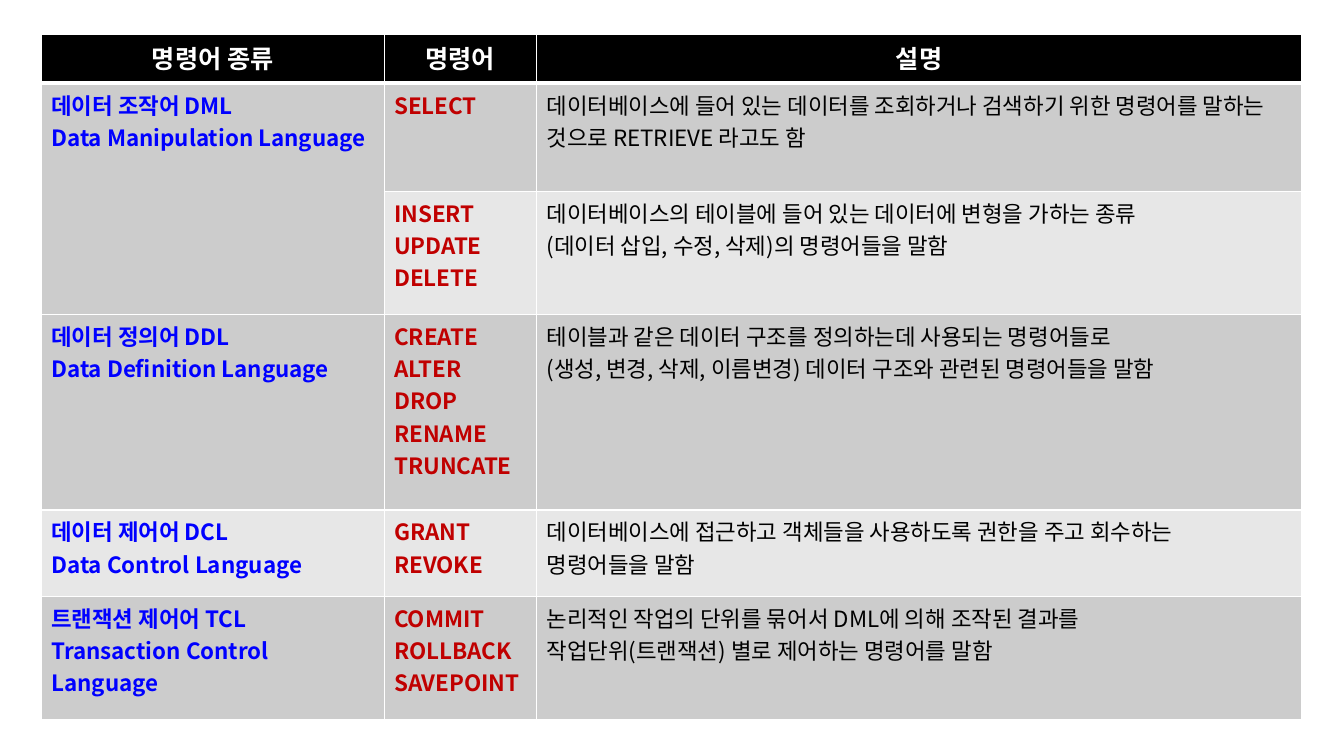
import pptx
import pptx.util
import pptx.dml.color
import pptx.enum.text
import lxml.etree
from pptx.oxml.ns import qn

Cm, Pt = pptx.util.Cm, pptx.util.Pt
RGB = pptx.dml.color.RGBColor.from_string
ALIGN = pptx.enum.text.PP_ALIGN
FONT = "Noto Sans CJK KR"
COLORS = {"header": "000000", "dark": "CCCCCC", "light": "E7E7E7", "white": "FFFFFF",
          "kind": "0000FF", "command": "C00000", "text": "000000"}

# Table content: band, then kind, commands and description (one string per paragraph)
col_widths = [8.64, 3.84, 19.28]
row_heights = [1.24, 2.72, 3.1, 4.93, 2.18, 3.1]
rows = [
    ("header", ["명령어 종류"], ["명령어"], ["설명"]),
    ("dark", ["데이터 조작어 DML", "Data Manipulation Language"],
     ["SELECT"],
     ["데이터베이스에 들어 있는 데이터를 조회하거나 검색하기 위한 명령어를 말하는 것으로 RETRIEVE 라고도 함"]),
    ("light", [],
     ["INSERT", "UPDATE", "DELETE"],
     ["데이터베이스의 테이블에 들어 있는 데이터에 변형을 가하는 종류",
      "(데이터 삽입, 수정, 삭제)의 명령어들을 말함"]),
    ("dark", ["데이터 정의어 DDL", "Data Definition Language"],
     ["CREATE", "ALTER", "DROP", "RENAME", "TRUNCATE"],
     ["테이블과 같은 데이터 구조를 정의하는데 사용되는 명령어들로",
      "(생성, 변경, 삭제, 이름변경) 데이터 구조와 관련된 명령어들을 말함"]),
    ("light", ["데이터 제어어 DCL", "Data Control Language"],
     ["GRANT", "REVOKE"],
     ["데이터베이스에 접근하고 객체들을 사용하도록 권한을 주고 회수하는", "명령어들을 말함"]),
    ("dark", ["트랜잭션 제어어 TCL", "Transaction Control Language"],
     ["COMMIT", "ROLLBACK", "SAVEPOINT"],
     ["논리적인 작업의 단위를 묶어서 DML에 의해 조작된 결과를",
      "작업단위(트랜잭션) 별로 제어하는 명령어를 말함"]),
]


def set_borders(cell, widths):
    """Draw white borders; widths are points for left, right, top, bottom."""
    tcPr = cell._tc.get_or_add_tcPr()
    for i, (side, width) in enumerate(zip("LRTB", widths)):
        ln = lxml.etree.Element(qn(f"a:ln{side}"), w=str(Pt(width)))
        fill = lxml.etree.SubElement(ln, qn("a:solidFill"))
        lxml.etree.SubElement(fill, qn("a:srgbClr"), val=COLORS["white"])
        tcPr.insert(i, ln)


def add_run(p, text, size, color, bold):
    r = p.add_run()
    r.text = text
    r.font.name = FONT
    r.font.size = Pt(size)
    r.font.bold = bold
    r.font.color.rgb = RGB(COLORS[color])
    lxml.etree.SubElement(r.font._element, qn("a:ea"), typeface=FONT)


# Slide
prs = pptx.Presentation()
prs.slide_width, prs.slide_height = Cm(33.87), Cm(19.05)
s = prs.slides.add_slide(prs.slide_layouts[6])

# Table grid
table = s.shapes.add_table(len(rows), len(col_widths), Cm(1.04), Cm(0.86),
                           Cm(sum(col_widths)), Cm(sum(row_heights))).table
for col, width in zip(table.columns, col_widths):
    col.width = Cm(width)
for row, height in zip(table.rows, row_heights):
    row.height = Cm(height)
table.cell(1, 0).merge(table.cell(2, 0))

# Cells
for i, (band, *texts) in enumerate(rows):
    header = band == "header"
    for j, (lines, role) in enumerate(zip(texts, ["kind", "command", "text"])):
        cell = table.cell(i, j)
        cell.fill.solid()
        cell.fill.fore_color.rgb = RGB(COLORS[band])
        set_borders(cell, [1, 1, 3 if i == 1 else 1, 3 if header else 1])
        tf = cell.text_frame
        for k, line in enumerate(lines):
            p = tf.add_paragraph() if k else tf.paragraphs[0]
            p.alignment = ALIGN.CENTER if header else ALIGN.LEFT
            add_run(p, line, 18 if header else 16, "white" if header else role,
                    header or role != "text")

prs.save("out.pptx")
